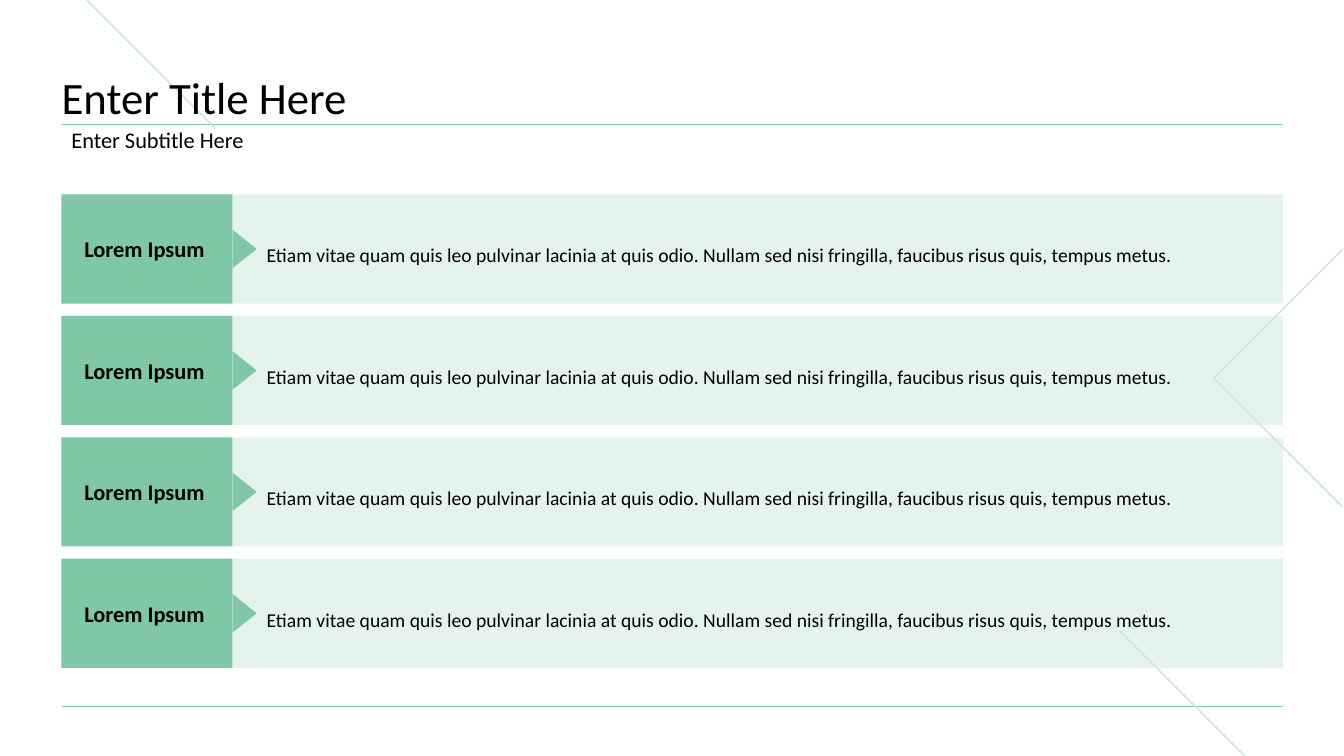
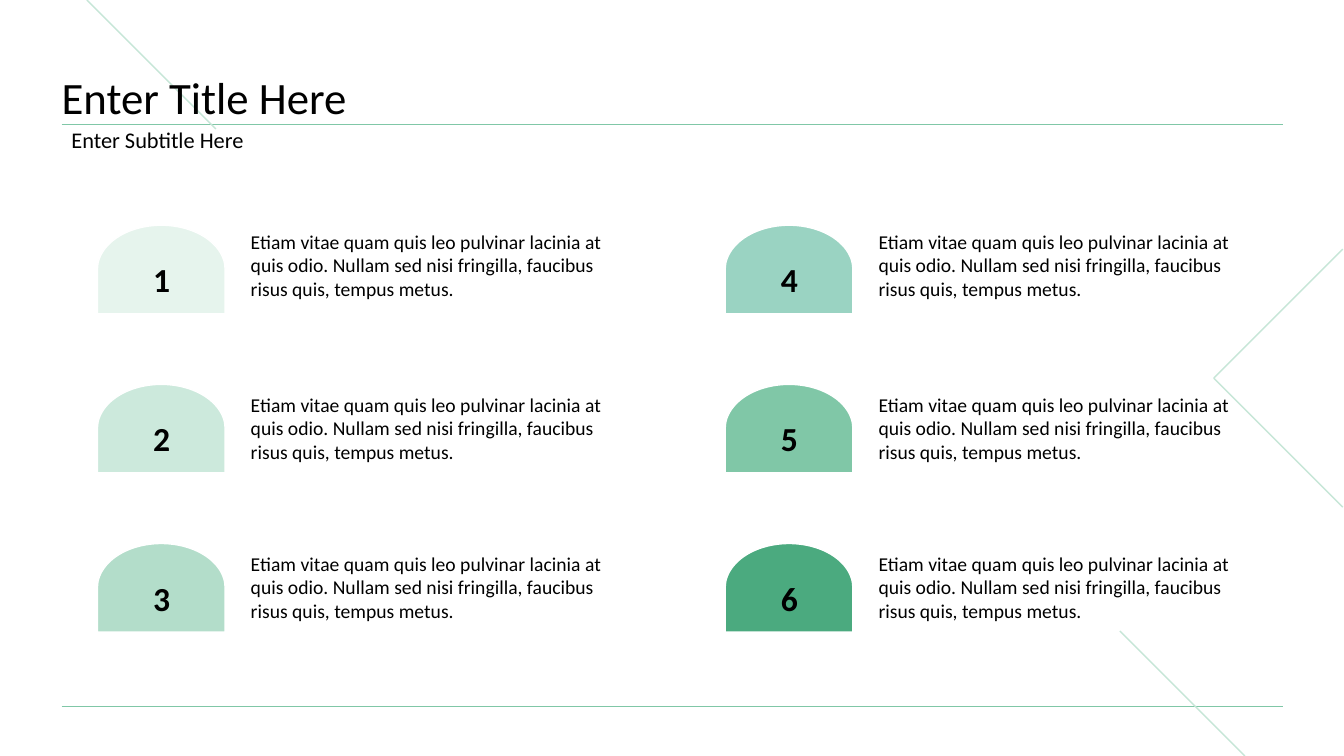
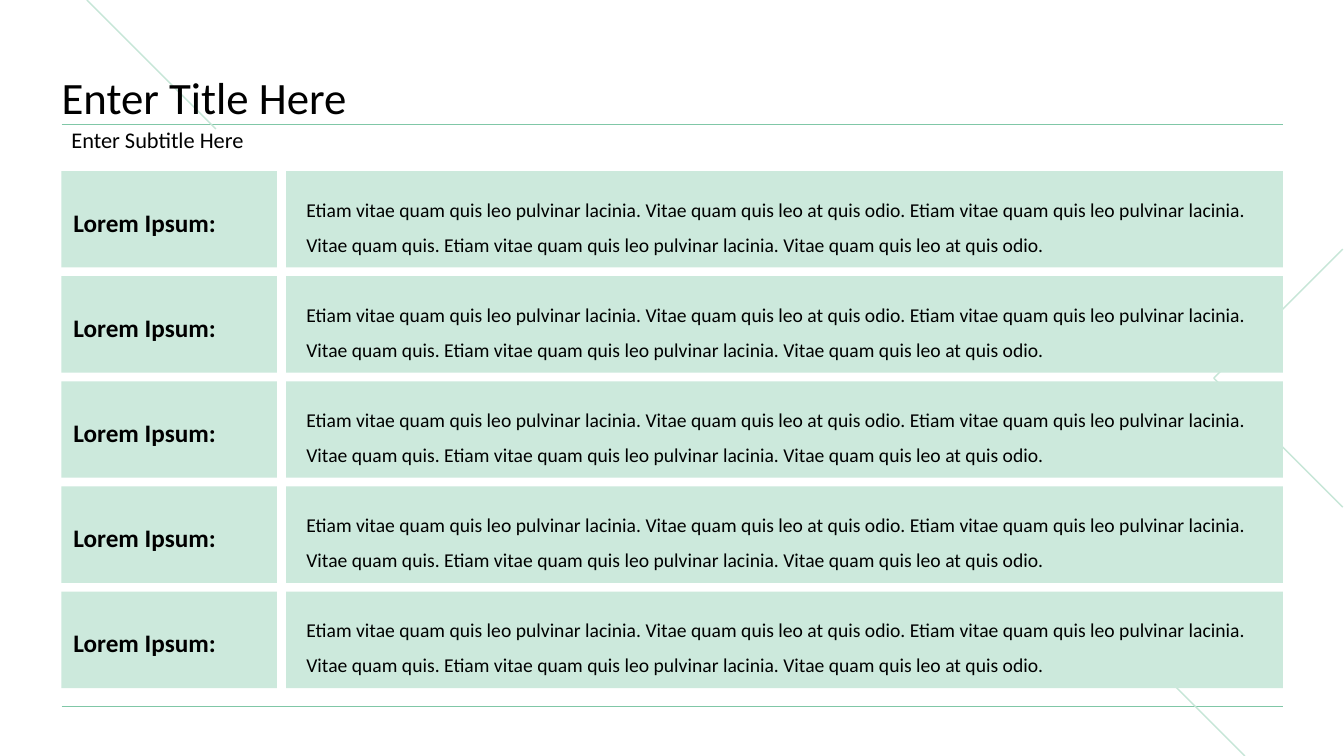
from lxml.etree import SubElement
from pptx import Presentation
from pptx.dml.color import RGBColor
from pptx.enum.shapes import MSO_CONNECTOR, MSO_SHAPE
from pptx.enum.text import MSO_ANCHOR, MSO_AUTO_SIZE, PP_ALIGN
from pptx.oxml.ns import qn
from pptx.util import Cm, Pt

FONT = "Calibri"
BLACK = RGBColor(0x00, 0x00, 0x00)
WHITE = RGBColor(0xFF, 0xFF, 0xFF)
GREEN = RGBColor(0x80, 0xC7, 0xA7)
PALE_GREEN = RGBColor(0xCC, 0xE9, 0xDC)
DECOR_GREEN = RGBColor(0xC6, 0xE6, 0xD7)
NUMBER_COLOURS = [
    RGBColor(0xE6, 0xF4, 0xED), PALE_GREEN, RGBColor(0xB3, 0xDD, 0xCA),
    RGBColor(0x9A, 0xD3, 0xC2), GREEN, RGBColor(0x4B, 0xAA, 0x7F),
]

TITLE = "Enter Title Here"
SUBTITLE = "Enter Subtitle Here"
SENTENCE = ("Etiam vitae quam quis leo pulvinar lacinia at quis odio. "
            "Nullam sed nisi fringilla, faucibus risus quis, tempus metus.")
LONG_TEXT = ("Etiam vitae quam quis leo pulvinar lacinia. Vitae quam quis leo at quis odio. "
             "Etiam vitae quam quis leo pulvinar lacinia. Vitae quam quis. "
             "Etiam vitae quam quis leo pulvinar lacinia. Vitae quam quis leo at quis odio.")
ARROW_ROWS = [("Lorem Ipsum ", SENTENCE)] * 4
NUMBERED_ITEMS = [(str(number), SENTENCE) for number in range(1, 7)]
LABEL_ROWS = [("Lorem Ipsum:", LONG_TEXT)] * 5

# Lengths in centimetres
SLIDE_WIDTH, SLIDE_HEIGHT = 33.87, 19.05
LEFT, WIDTH = 1.55, 30.78
RIGHT = LEFT + WIDTH
RULE_TOP, RULE_BOTTOM = 3.13, 17.81
INSETS = (0.25, 0.13, 0.25, 0.13)
DECOR_LINES = [
    ((LEFT, RULE_BOTTOM), (RIGHT, RULE_BOTTOM), GREEN, 0.5),
    ((LEFT, RULE_TOP), (RIGHT, RULE_TOP), GREEN, 0.5),
    ((28.22, 15.9), (31.37, SLIDE_HEIGHT), DECOR_GREEN, 1),
    ((2.19, 0), (5.44, 3.25), DECOR_GREEN, 1),
]
CHEVRON = [(33.84, 6.28), (30.59, 9.53), (33.84, 12.78)]


def lengths(*values):
    return [Cm(value) for value in values]


def write(shape, text, size=14, bold=False, align=PP_ALIGN.LEFT,
          anchor=MSO_ANCHOR.MIDDLE, spacing=1.0, insets=INSETS, wrap=True):
    frame = shape.text_frame
    frame.auto_size = MSO_AUTO_SIZE.NONE
    frame.word_wrap = wrap
    frame.vertical_anchor = anchor
    (frame.margin_left, frame.margin_top,
     frame.margin_right, frame.margin_bottom) = lengths(*insets)
    para = frame.paragraphs[0]
    para.alignment = align
    para.line_spacing = spacing
    para.space_before = Pt(0)
    span = para.add_run()
    span.text = text
    span.font.name = FONT
    span.font.size = Pt(size)
    span.font.bold = bold
    span.font.color.rgb = BLACK


def add_text(shapes, place, text, **text_format):
    write(shapes.add_textbox(*lengths(*place)), text, **text_format)


def add_block(shapes, kind, place, colour, outline=None, rotation=0, opacity=None):
    block = shapes.add_shape(kind, *lengths(*place))
    block.shadow.inherit = False
    block.rotation = rotation
    block.fill.solid()
    block.fill.fore_color.rgb = colour
    if opacity is not None:
        colour_node = block.element.spPr.find(".//" + qn("a:srgbClr"))
        SubElement(colour_node, qn("a:alpha")).set("val", str(opacity * 1000))
    if outline is None:
        block.line.fill.background()
    else:
        block.line.color.rgb = outline
        block.line.width = Pt(1)
    return block


def add_line(shapes, start, end, colour, width):
    line = shapes.add_connector(MSO_CONNECTOR.STRAIGHT, *lengths(*start, *end))
    line.line.color.rgb = colour
    line.line.width = Pt(width)
    SubElement(line.element.spPr, qn("a:effectLst"))
    return line


def decorate(layout, slide):
    """Draw the shared lines on a slide, then move them to its layout."""
    decor = [add_line(slide.shapes, *line) for line in DECOR_LINES]
    points = [lengths(*point) for point in CHEVRON]
    builder = slide.shapes.build_freeform(*points[0])
    builder.add_line_segments(points[1:], close=False)
    chevron = builder.convert_to_shape()
    chevron.shadow.inherit = False
    chevron.fill.background()
    chevron.line.color.rgb = DECOR_GREEN
    chevron.line.width = Pt(1)
    for number, shape in enumerate(decor + [chevron], start=20):
        shape.element.xpath(".//p:cNvPr")[0].set("id", str(number))
        layout.shapes.element.append(shape.element)


def place_headings(layout):
    title, body = layout.placeholders[0], layout.placeholders[1]
    for holder, top, height in ((title, RULE_TOP - 2.03, 2.03), (body, RULE_TOP, 0.86)):
        holder.left, holder.top, holder.width, holder.height = lengths(
            LEFT, top, WIDTH, height)


def add_slide(deck, layout):
    slide = deck.slides.add_slide(layout)
    write(slide.shapes.title, TITLE, size=32, anchor=MSO_ANCHOR.BOTTOM,
          spacing=0.9, insets=(0, 0, 0, 0))
    body = slide.placeholders[1]
    properties = body.element.xpath(".//a:p")[0].get_or_add_pPr()
    properties.set("marL", "0")
    properties.set("indent", "0")
    SubElement(properties, qn("a:buNone"))
    write(body, SUBTITLE, size=16, spacing=0.9)
    return slide


def draw_arrow_rows(shapes):
    first_top, pitch, height = 4.9, 3.06, 2.75
    label_width, text_left, text_height = 4.31, 6.47, 1.6
    arrow_width, arrow_height = 0.97, 0.61
    arrow_left = LEFT + label_width + (arrow_height - arrow_width) / 2
    for row, (label, text) in enumerate(ARROW_ROWS):
        top = first_top + row * pitch
        middle = top + height / 2
        add_block(shapes, MSO_SHAPE.RECTANGLE, (LEFT, top, WIDTH, height),
                  PALE_GREEN, opacity=50)
        add_text(shapes, (text_left, middle - text_height / 2, RIGHT - text_left, text_height),
                 text, spacing=1.5, insets=(0.25, 0, 0, 0))
        tag = shapes.add_group_shape().shapes
        label_box = add_block(tag, MSO_SHAPE.RECTANGLE, (LEFT, top, label_width, height), GREEN)
        write(label_box, label, size=16, bold=True, align=PP_ALIGN.CENTER)
        add_block(tag, MSO_SHAPE.ISOSCELES_TRIANGLE,
                  (arrow_left, middle - arrow_height / 2, arrow_width, arrow_height),
                  GREEN, rotation=90)


def draw_numbered_items(shapes):
    rows, row_pitch, column_pitch = 3, 4.01, 15.82
    for index, (number, text) in enumerate(NUMBERED_ITEMS):
        column, row = divmod(index, rows)
        x, y = column * column_pitch, row * row_pitch
        anchor = MSO_ANCHOR.MIDDLE if row else MSO_ANCHOR.TOP
        add_text(shapes, (6.07 + x, 5.66 + y, 9.53, 2.23), text, anchor=anchor)
        add_block(shapes, MSO_SHAPE.FLOWCHART_DELAY, (2.95 + x, 5.18 + y, 2.23, 3.22),
                  NUMBER_COLOURS[index], outline=WHITE, rotation=270)
        add_text(shapes, (3.63 + x, 5.97 + y, 0.89, 1.63), number, size=24, bold=True,
                 align=PP_ALIGN.CENTER, spacing=1.5, wrap=False)


def draw_label_rows(shapes):
    first_top, pitch, height = 4.31, 2.65, 2.43
    divider, text_left = 7.09, 7.47
    for row, (label, text) in enumerate(LABEL_ROWS):
        top = first_top + row * pitch
        add_block(shapes, MSO_SHAPE.RECTANGLE, (LEFT, top, WIDTH, height), PALE_GREEN)
        add_text(shapes, (text_left, top + 0.24, RIGHT - text_left, 1.96), text,
                 anchor=MSO_ANCHOR.TOP, spacing=1.5)
        add_text(shapes, (1.85, top + 0.57, 4.88, 1.3), label, size=18, bold=True,
                 spacing=1.5, insets=(0, 0, 0, 0.25))
        add_line(shapes, (divider, top - 0.17), (divider, top + height + 0.04), WHITE, 6)


def main():
    deck = Presentation()
    deck.slide_width, deck.slide_height = lengths(SLIDE_WIDTH, SLIDE_HEIGHT)
    layout = deck.slide_layouts[1]
    place_headings(layout)
    pages = [add_slide(deck, layout) for _ in range(3)]
    decorate(layout, pages[0])
    for page, draw in zip(pages, (draw_arrow_rows, draw_numbered_items, draw_label_rows)):
        draw(page.shapes)
    deck.save("out.pptx")


if __name__ == "__main__":
    main()
